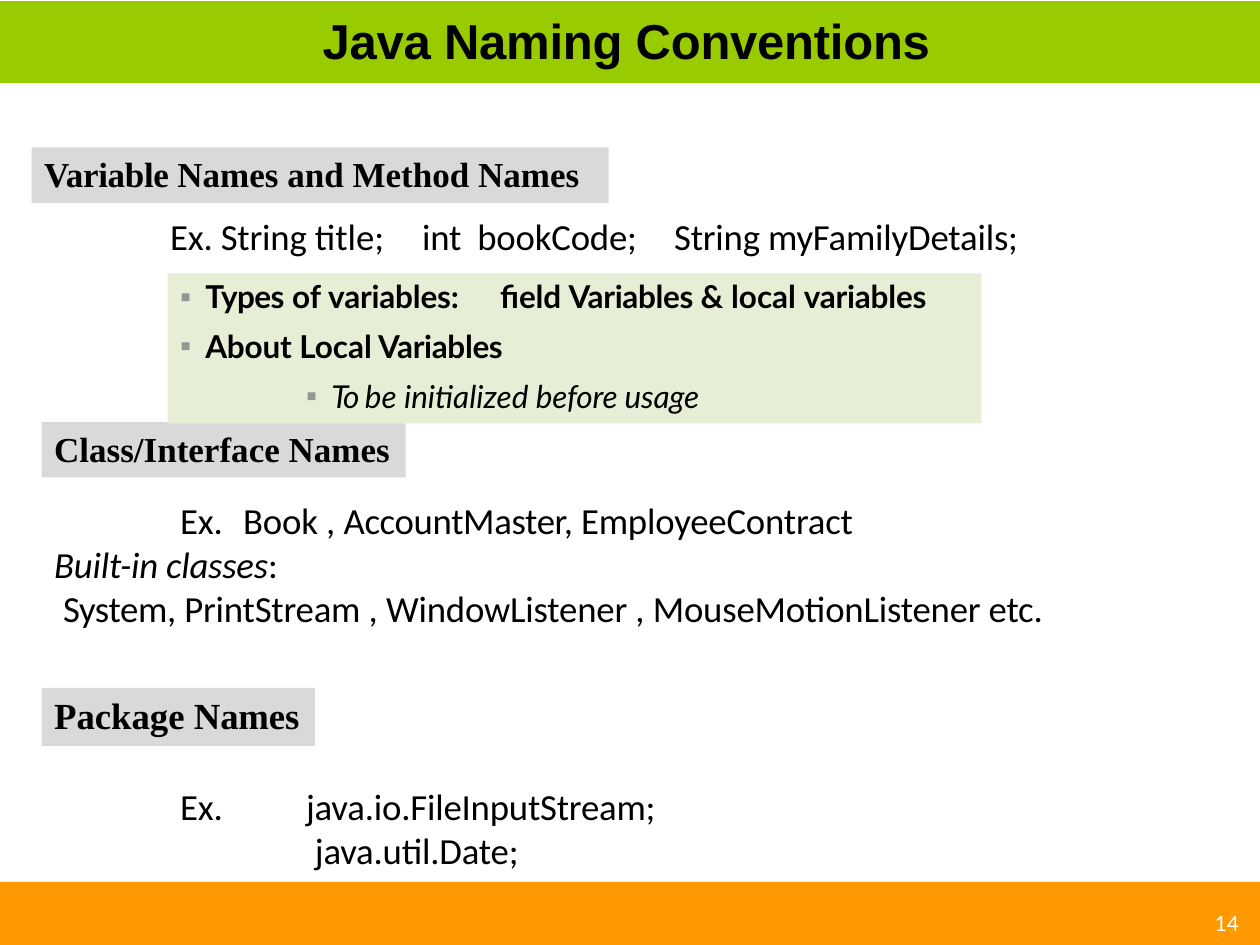
import pptx
import pptx.util
import pptx.dml.color
import pptx.enum.shapes
import pptx.enum.text
import pptx.oxml.ns
from lxml import etree

Inches = pptx.util.Inches
Pt = pptx.util.Pt
COLORS = {"text": "000000", "light": "FFFFFF", "title": "99CC00", "footer": "FF9900",
          "heading": "D9D9D9", "panel": "E7EED6", "bullet": "959595"}


def rgb(name):
    return pptx.dml.color.RGBColor.from_string(COLORS[name])


def add_xml(parent, tag, **attrs):
    return etree.SubElement(parent, pptx.oxml.ns.qn(tag), attrs)


class SlideBuilder:
    def __init__(self, slide):
        self.slide = slide

    def bar(self, box, fill):
        kind = pptx.enum.shapes.MSO_SHAPE.RECTANGLE
        sp = self.slide.shapes.add_shape(kind, *map(Inches, box))
        sp.shadow.inherit = False
        sp.fill.solid()
        sp.fill.fore_color.rgb = rgb(fill)
        sp.line.fill.background()
        return sp

    def frame(self, sp, top=0.01):
        tf = sp.text_frame
        tf.margin_left = tf.margin_right = tf.margin_bottom = 0
        tf.margin_top = Inches(top)
        tf.word_wrap = True
        tf.vertical_anchor = pptx.enum.text.MSO_ANCHOR.TOP
        return tf

    def paragraph(self, tf, runs, size=21, font="Calibri", color="text", bold=False,
                  italic=False, left=0.01, before=0, tabs=(), bullet=False):
        p = tf.paragraphs[0] if not tf.paragraphs[0].runs else tf.add_paragraph()
        p.alignment = pptx.enum.text.PP_ALIGN.LEFT
        p.space_before = Pt(before)
        pPr = p._p.get_or_add_pPr()
        pPr.set("marL", str(Inches(left)))
        pPr.set("indent", str(Inches(-0.2 if bullet else 0)))
        if bullet:
            add_xml(add_xml(pPr, "a:buClr"), "a:srgbClr", val=COLORS["bullet"])
            add_xml(pPr, "a:buFont", typeface="Arial")
            add_xml(pPr, "a:buChar", char="▪")
        if tabs:
            tab_list = add_xml(pPr, "a:tabLst")
            for tab in tabs:
                add_xml(tab_list, "a:tab", pos=str(Inches(tab)), algn="l")
        p.font.size = Pt(size)
        p.font.name = font
        p.font.color.rgb = rgb(color)
        p.font.bold = bold
        p.font.italic = italic
        for text, spacing in runs:
            r = p.add_run()
            r.text = text
            r._r.get_or_add_rPr().set("spc", str(round(spacing * 100)))
        return p

    def text(self, box, *paragraphs, top=0.01):
        tf = self.frame(self.slide.shapes.add_textbox(*map(Inches, box)), top)
        return [self.paragraph(tf, runs, **style) for runs, style in paragraphs]

    def heading(self, box, runs, size=20):
        tf = self.frame(self.bar(box, "heading"), 0.04)
        self.paragraph(tf, runs, size, "Times New Roman", bold=True, left=0.1, before=3)

    def panel(self, box, *items):
        tf = self.frame(self.bar(box, "panel"), 0.03)
        for runs, style in items:
            self.paragraph(tf, runs, 18, "Lato", bullet=True, **style)


prs = pptx.Presentation()
prs.slide_width = Inches(10)
prs.slide_height = Inches(7.5)
s = SlideBuilder(prs.slides.add_slide(prs.slide_layouts[6]))

s.bar((0, 7, 10, 0.5), "footer")
s.bar((0, 0.01, 10, 0.65), "title")
s.text((2.55, 0.07, 4.89, 0.49),
       ([("Java Naming Conventions", -0.1)],
        dict(size=28, font="Arial", bold=True, before=0.9)))
s.text((9.6, 7.23, 0.26, 0.22),
       ([("14", 0)], dict(size=12, font="Lato", color="light", left=0.04, before=0.2)), top=0)

s.heading((0.25, 1.17, 4.58, 0.44), [("Variable ", -0.2), ("Names and Method Names", 0)])
s.text((1.34, 1.69, 8.19, 0.38),
       ([("Ex. String ", -0.1), ("title;\t", 0),
         ("int  bookCode;\tString myFamilyDetails;", -0.1)],
        dict(before=1, tabs=(2.41, 5.41))))

s.heading((0.33, 3.35, 2.89, 0.44), [("Class/Interface Names", 0)])
_, built_in, _ = s.text(
    (0.42, 3.94, 8.05, 1.08),
    ([("Ex.\tBook ", -0.1), (", ", 0), ("AccountMaster, ", -0.2), ("EmployeeContract", -0.1)],
     dict(left=1.01, before=1, tabs=(2.01,))),
    ([("Built-in classes", -0.1), (":", -0.1)], {}),
    ([("System, ", -0.2), ("PrintStream ", -0.1), (", ", 0), ("WindowListener ", -0.1),
      (", ", 0), ("MouseMotionListener etc.", -0.1)], dict(left=0.08)))
built_in.runs[0].font.italic = True

s.heading((0.33, 5.46, 2.17, 0.46), [("Package ", 0), ("Names", -0.1)], 21)
s.text((1.42, 6.21, 0.37, 0.38), ([("Ex.", -0.1)], dict(before=1)))
s.text((2.42, 6.21, 2.84, 0.73),
       ([("java.io.FileInputStream;", -0.1)], dict(before=1)),
       ([("java.util.Date;", -0.1)], dict(left=0.08)))

s.panel((1.33, 2.17, 6.46, 1.19),
        ([("Types", -0.3), (" of ", 0), ("variables:\tfield ", -0.1), ("Variables ", -0.2),
          ("& local ", 0), ("variables", -0.1)],
         dict(bold=True, left=0.3, before=2, tabs=(0.3, 2.64))),
        ([("About ", -0.1), ("Local", 0), (" Variables", -0.2)],
         dict(bold=True, left=0.3, before=6.8)),
        ([("To ", -1.1), ("be initialized ", 0), ("before usage", -0.1)],
         dict(italic=True, left=1.3, before=7)))

prs.save("out.pptx")
